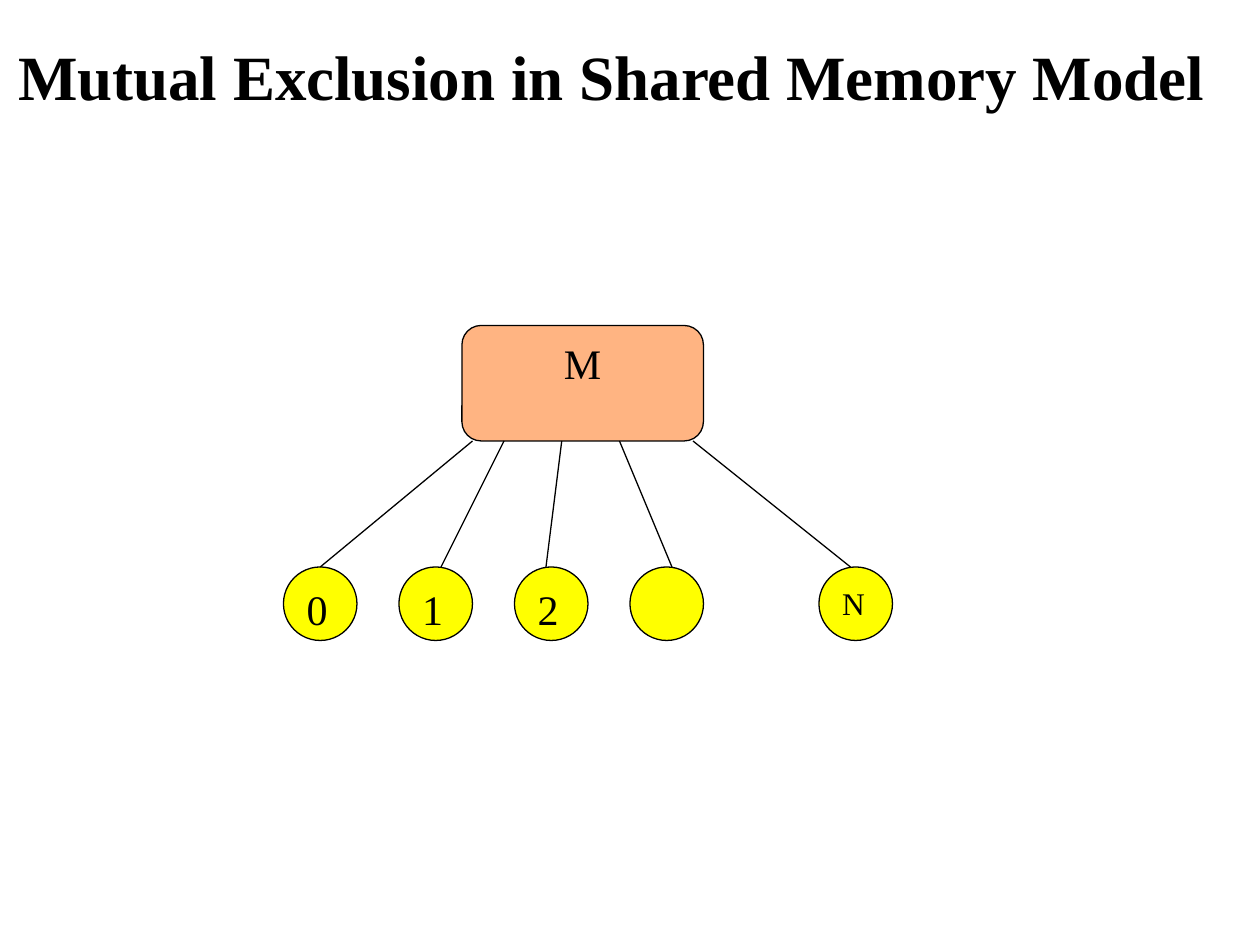
from dataclasses import dataclass

from lxml import etree
from pptx import Presentation
from pptx.dml.color import RGBColor
from pptx.enum.shapes import MSO_CONNECTOR, MSO_SHAPE
from pptx.enum.text import MSO_ANCHOR, PP_ALIGN
from pptx.oxml.ns import qn
from pptx.util import Pt

ROUNDED = MSO_SHAPE.ROUNDED_RECTANGLE
OVAL = MSO_SHAPE.OVAL
STRAIGHT = MSO_CONNECTOR.STRAIGHT
TOP = MSO_ANCHOR.TOP
LEFT, CENTER = PP_ALIGN.LEFT, PP_ALIGN.CENTER
TITLE_ONLY = 5


@dataclass(frozen=True)
class Theme:
    font: str = "Times New Roman"
    ink: RGBColor = RGBColor(0, 0, 0)
    memory: RGBColor = RGBColor(0xFF, 0x66, 0x00)
    memory_opacity: int = 49
    process: RGBColor = RGBColor(0xFF, 0xFF, 0x00)
    title_size: int = 36
    label_size: int = 24
    small_size: int = 18
    line_width: float = 0.75


THEME = Theme()


def write(frame, text, size, align, bold=False):
    frame.text = text
    frame.vertical_anchor = TOP
    frame.margin_left = frame.margin_right = Pt(7.2)
    frame.margin_top = frame.margin_bottom = Pt(3.6)
    paragraph = frame.paragraphs[0]
    paragraph.alignment = align
    paragraph.line_spacing = 1.0
    for run in paragraph.runs:
        run.font.name = THEME.font
        run.font.size = Pt(size)
        run.font.bold = bold
        run.font.color.rgb = THEME.ink


def add_node(slide, kind, box, color, text, size, align):
    node = slide.shapes.add_shape(kind, *map(Pt, box))
    node.shadow.inherit = False
    node.fill.solid()
    node.fill.fore_color.rgb = color
    node.line.color.rgb = THEME.ink
    node.line.width = Pt(THEME.line_width)
    if text:
        write(node.text_frame, text, size, align)
    return node


def add_link(slide, start, end):
    link = slide.shapes.add_connector(STRAIGHT, *map(Pt, (*start, *end)))
    link.line.color.rgb = THEME.ink
    link.line.width = Pt(THEME.line_width)
    etree.SubElement(link._element.spPr, qn("a:effectLst"))
    return link


def add_heading(slide, box):
    heading = slide.shapes.title
    heading.left, heading.top, heading.width, heading.height = map(Pt, box)
    write(heading.text_frame, "Mutual Exclusion in Shared Memory Model",
          THEME.title_size, CENTER, bold=True)
    heading.text_frame.word_wrap = False


def add_memory(slide, box):
    memory = add_node(slide, ROUNDED, box, THEME.memory, "M",
                      THEME.label_size, CENTER)
    memory.adjustments[0] = 0.167
    color = memory.fill._xPr.find(qn("a:solidFill"))[0]
    alpha = etree.SubElement(color, qn("a:alpha"))
    alpha.set("val", str(THEME.memory_opacity * 1000))


def add_shared_memory(slide, box):
    left, top, width, height = box
    memory_height, diameter, pitch = 66, 42, 66
    process_top = top + height - diameter
    memory_bottom = top + memory_height
    add_memory(slide, (left + 102, top, 138, memory_height))

    large, small = THEME.label_size, THEME.small_size
    processes = [
        ("0", large, 0, 21, 108),
        ("1", large, pitch, 90, 126),
        ("2", large, 2 * pitch, 150, 159),
        ("", large, 3 * pitch, 222, 192),
        ("N", small, width - diameter, 324, 234),
    ]
    for label, size, offset, link_start, link_end in processes:
        process = add_node(slide, OVAL,
                           (left + offset, process_top, diameter, diameter),
                           THEME.process, label, size, LEFT)
        link = add_link(slide, (left + link_start, process_top),
                        (left + link_end, memory_bottom))
        if link_start == offset + diameter / 2:
            link.begin_connect(process, 0)


def main():
    deck = Presentation()
    deck.slide_width, deck.slide_height = Pt(720), Pt(540)
    slide = deck.slides.add_slide(deck.slide_layouts[TITLE_ONLY])
    add_heading(slide, (3, 18, 693, 50.4))
    add_shared_memory(slide, (162, 186, 348, 180))
    deck.save("out.pptx")


if __name__ == "__main__":
    main()
